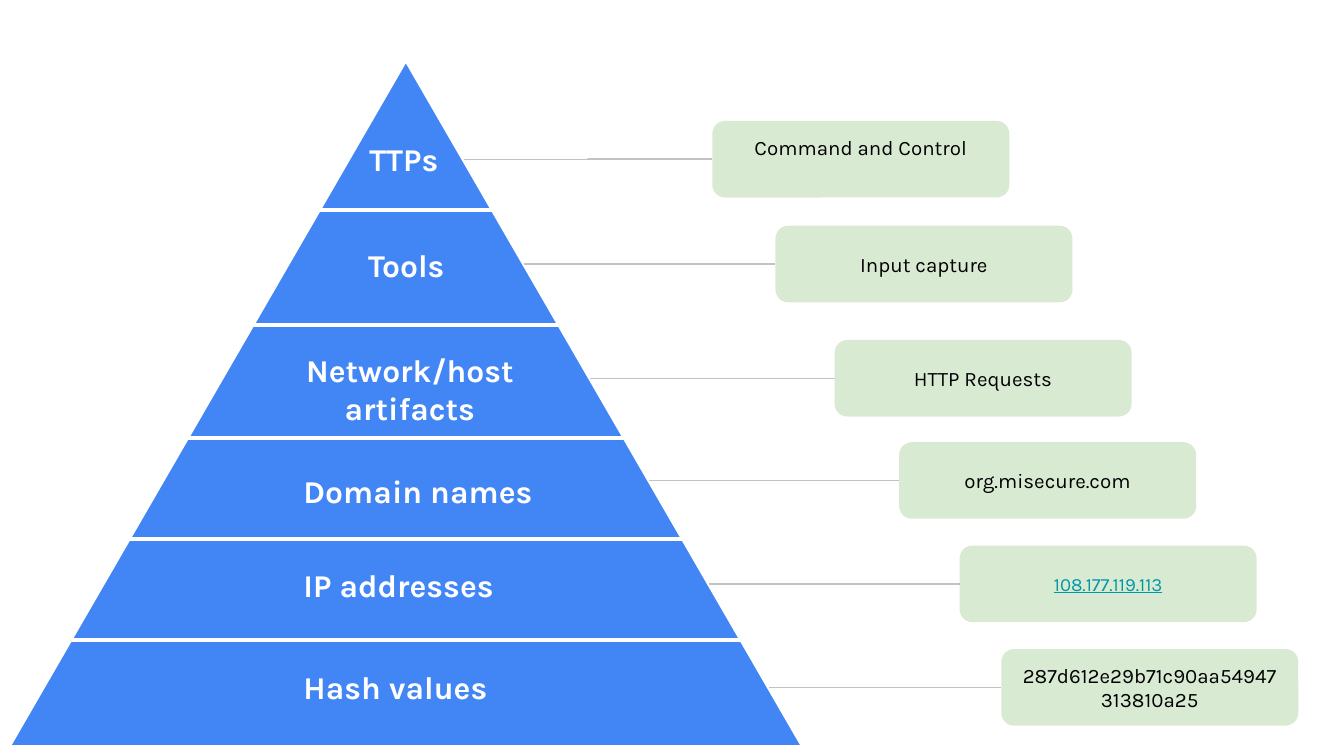
from lxml import etree
from pptx import Presentation
from pptx.dml.color import RGBColor
from pptx.enum.shapes import MSO_CONNECTOR, MSO_SHAPE
from pptx.enum.text import MSO_ANCHOR, PP_ALIGN
from pptx.oxml.ns import qn
from pptx.util import Inches, Pt

STRAIGHT, ELBOW = MSO_CONNECTOR.STRAIGHT, MSO_CONNECTOR.ELBOW
TRIANGLE, ROUNDED = MSO_SHAPE.ISOSCELES_TRIANGLE, MSO_SHAPE.ROUNDED_RECTANGLE
LEFT, CENTER = PP_ALIGN.LEFT, PP_ALIGN.CENTER
TOP, MIDDLE = MSO_ANCHOR.TOP, MSO_ANCHOR.MIDDLE

COLORS = {"level": "4285F4", "white": "FFFFFF", "leader": "C2C2C2",
          "card": "D9EAD3", "text": "000000", "address": "0097A7"}
FONT = "Karla"
SLIDE_W = 10
SLIDE_H = SLIDE_W * 9 / 16
INSET = 0.1
APEX_X, APEX_Y = 3.02, 0.44
PYRAMID_W, PYRAMID_H = 5.92, 5.12
CARD_W, CARD_H = 2.21, 0.57
LEFT_SITE = 1

DIVIDERS = [1.56, 2.42, 3.26, 4.01, 4.76]

# label, (left, top, width, height), alignment
LEVELS = [
    ("TTPs", (2.65, 0.94, 0.88, 0.49), LEFT),
    ("Tools", (2.64, 1.73, 0.88, 0.49), LEFT),
    ("Network/host artifacts", (1.96, 2.51, 2.18, 0.77), CENTER),
    ("Domain names", (2.16, 3.41, 2.24, 0.49), LEFT),
    ("IP addresses", (2.16, 4.11, 2.24, 0.49), LEFT),
    ("Hash values", (2.16, 4.87, 2.24, 0.49), LEFT),
]

# example, card left, card top, extra options
EXAMPLES = [
    ("Command and Control", 5.30, 0.90, {"bottom_inset": 0.28}),
    ("Input capture", 5.77, 1.68, {}),
    ("HTTP Requests", 6.21, 2.53, {}),
    ("org.misecure.com", 6.69, 3.29, {}),
    ("108.177.119.113", 7.14, 4.06,
     {"size": 10, "color": "address", "underline": True}),
    ("287d612e29b71c90aa54947313810a25", 7.45, 4.83, {}),
]


def rgb(name):
    return RGBColor.from_string(COLORS[name])


def half_width(y):
    """Distance from the pyramid's axis to its edge at height y."""
    return (y - APEX_Y) / PYRAMID_H * PYRAMID_W / 2


def write_text(shape, text, size, color, align, anchor,
               bold=False, underline=False, bottom_inset=INSET):
    frame = shape.text_frame
    frame.word_wrap = True
    frame.vertical_anchor = anchor
    frame.margin_left = frame.margin_right = frame.margin_top = Inches(INSET)
    frame.margin_bottom = Inches(bottom_inset)
    paragraph = frame.paragraphs[0]
    paragraph.alignment = align
    run = paragraph.add_run()
    run.text = text
    run.font.name = FONT
    run.font.size = Pt(size)
    run.font.bold = bold
    run.font.underline = underline
    run.font.color.rgb = rgb(color)


def add_filled_shape(slide, kind, box, fill):
    shape = slide.shapes.add_shape(kind, *map(Inches, box))
    shape.shadow.inherit = False
    shape.fill.solid()
    shape.fill.fore_color.rgb = rgb(fill)
    return shape


def add_line(slide, kind, x1, x2, y, color, width):
    """Add a level line without a shadow."""
    line = slide.shapes.add_connector(
        kind, Inches(x1), Inches(y), Inches(x2), Inches(y))
    line.line.color.rgb = rgb(color)
    line.line.width = Pt(width)
    etree.SubElement(line._element.spPr, qn("a:effectLst"))
    return line


def add_pyramid(slide):
    box = (APEX_X - PYRAMID_W / 2, APEX_Y, PYRAMID_W, PYRAMID_H)
    pyramid = add_filled_shape(slide, TRIANGLE, box, "level")
    pyramid.line.color.rgb = rgb("white")
    pyramid.line.width = Pt(2.25)
    for y in DIVIDERS:
        reach = half_width(y)
        add_line(slide, STRAIGHT, APEX_X - reach, APEX_X + reach, y, "white", 2.25)


def add_level_label(slide, label, box, align):
    label_box = slide.shapes.add_textbox(*map(Inches, box))
    write_text(label_box, label, 17, "white", align, TOP, bold=True)


def add_example(slide, example, left, top, size=11, color="text", **options):
    """Add a card and the leader that joins it to the pyramid's edge."""
    card = add_filled_shape(slide, ROUNDED, (left, top, CARD_W, CARD_H), "card")
    card.line.fill.background()
    write_text(card, example, size, color, CENTER, MIDDLE, **options)
    y = top + CARD_H / 2
    leader = add_line(slide, ELBOW, APEX_X + half_width(y), left, y, "leader", 0.75)
    leader.end_connect(card, LEFT_SITE)


def main():
    presentation = Presentation()
    presentation.slide_width = Inches(SLIDE_W)
    presentation.slide_height = Inches(SLIDE_H)
    blank_layout = presentation.slide_layouts[6]
    slide = presentation.slides.add_slide(blank_layout)

    add_pyramid(slide)
    for level in LEVELS:
        add_level_label(slide, *level)
    for example, left, top, options in EXAMPLES:
        add_example(slide, example, left, top, **options)

    presentation.save("out.pptx")


if __name__ == "__main__":
    main()
